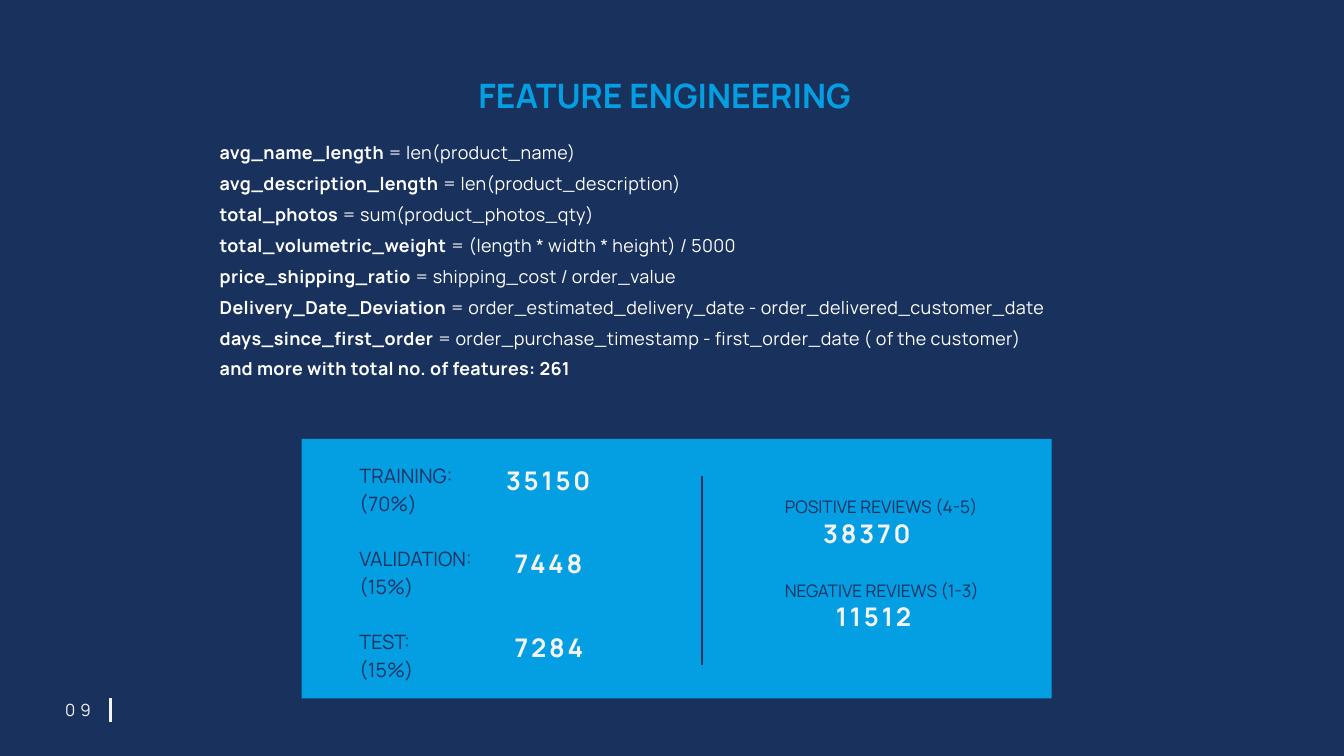
from pptx import Presentation
from pptx.dml.color import RGBColor
from pptx.enum.shapes import MSO_CONNECTOR, MSO_SHAPE
from pptx.oxml.ns import qn
from pptx.util import Pt
from lxml.etree import SubElement

NAVY = RGBColor(0x19, 0x31, 0x5D)
BLUE = RGBColor(0x04, 0x9E, 0xE3)
WHITE = RGBColor(0xFF, 0xFF, 0xFF)
PALE = RGBColor(0xF4, 0xF4, 0xF4)
FONT = "Manrope"

FEATURES = [
    ("avg_name_length", " = len(product_name)"),
    ("avg_description_length", " = len(product_description)"),
    ("total_photos", " = sum(product_photos_qty)"),
    ("total_volumetric_weight", " = (length * width * height) / 5000"),
    ("price_shipping_ratio", " = shipping_cost / order_value"),
    ("Delivery_Date_Deviation",
     " = order_estimated_delivery_date - order_delivered_customer_date"),
    ("days_since_first_order",
     " = order_purchase_timestamp - first_order_date ( of the customer)"),
    ("and more with total no. of features: 261", ""),
]
# label, share, count, left offset of the count
SPLITS = [
    ("TRAINING:", "(70%)", "35150", 218.9),
    ("VALIDATION:", "(15%)", "7448", 228.2),
    ("TEST:", "(15%)", "7284", 228.2),
]
# label, count, left offset of the count
REVIEWS = [
    ("POSITIVE REVIEWS (4-5)", "38370", 558.7),
    ("NEGATIVE REVIEWS (1-3)", "11512", 572.4),
]


def add_text(s, box, lines, size, color, leading, bold=False, spacing=0):
    """Each line is a list of (text, bold) runs or a plain string."""
    tf = s.shapes.add_textbox(*map(Pt, box)).text_frame
    tf.word_wrap = True
    tf.margin_left = tf.margin_right = tf.margin_top = tf.margin_bottom = 0
    for i, line in enumerate(lines):
        p = tf.paragraphs[0] if i == 0 else tf.add_paragraph()
        p.line_spacing = Pt(leading)
        for text, is_bold in [(line, bold)] if isinstance(line, str) else line:
            r = p.add_run()
            r.text = text
            r.font.name = FONT
            r.font.size = Pt(size)
            r.font.bold = is_bold
            r.font.color.rgb = color
            if spacing:
                r._r.get_or_add_rPr().set("spc", str(round(spacing * 100)))
    return tf


def add_rule(s, x, top, bottom, color, width):
    line = s.shapes.add_connector(
        MSO_CONNECTOR.STRAIGHT, Pt(x), Pt(top), Pt(x), Pt(bottom))
    line.line.color.rgb = color
    line.line.width = Pt(width)
    SubElement(line._element.spPr, qn("a:effectLst"))


def add_count(s, x, y, text):
    add_text(s, (x, y, 121.7, 36.7), [text], 27.5, PALE, 34.1, True, 3)


def add_title(s, box):
    add_text(s, box, ["FEATURE ENGINEERING"], 36, BLUE, 50.4, True)


def add_features(s, box):
    lines = [[(name, True)] + ([(formula, False)] if formula else [])
             for name, formula in FEATURES]
    add_text(s, box, lines, 19.2, WHITE, 33.1, spacing=0.4)


def add_counts_panel(s, box):
    x, y, w, h = box
    step = 89.3
    sp = s.shapes.add_shape(MSO_SHAPE.RECTANGLE, *map(Pt, box))
    sp.shadow.inherit = False
    sp.fill.solid()
    sp.fill.fore_color.rgb = BLUE
    sp.line.fill.background()

    # Divider
    add_rule(s, x + 429.1, y + 40.3, y + 241.9, NAVY, 2.25)

    # Data splits: labels in one box, a line's gap between groups
    labels = [line for label, share, *_ in SPLITS for line in (label, share)]
    tf = add_text(s, (x + 61.9, y + 23, 133.9, 234.7), labels, 21.2, NAVY, 29.6)
    for p in tf.paragraphs[2::2]:
        p.space_before = Pt(29.6)
    for i, (*_, count, dx) in enumerate(SPLITS):
        add_count(s, x + dx, y + 26.6 + i * step, count)

    # Review classes
    for i, (label, count, dx) in enumerate(REVIEWS):
        top = y + 58.3 + i * step
        add_text(s, (x + 517.7, top, 226.1, 25.2), [label], 18.5, NAVY, 25.9)
        add_count(s, x + dx, top + 25.2, count)


def add_page_number(s, box):
    x, y, w, h = box
    add_text(s, (x, y, 36, h), ["09"], 18, PALE, 25.2, spacing=5.4)
    add_rule(s, x + w, y + 2.2, y + 27.4, PALE, 3)


def main():
    prs = Presentation()
    prs.slide_width, prs.slide_height = Pt(1440), Pt(810)
    s = prs.slides.add_slide(prs.slide_layouts[6])
    s.background.fill.solid()
    s.background.fill.fore_color.rgb = NAVY

    add_features(s, (235.4, 141.8, 969.8, 262.8))
    add_title(s, (512.6, 73.4, 414.7, 51.1))
    add_counts_panel(s, (323.3, 470.2, 803.5, 278.2))
    add_page_number(s, (69.8, 745.9, 48.3, 25.9))
    prs.save("out.pptx")


if __name__ == "__main__":
    main()
